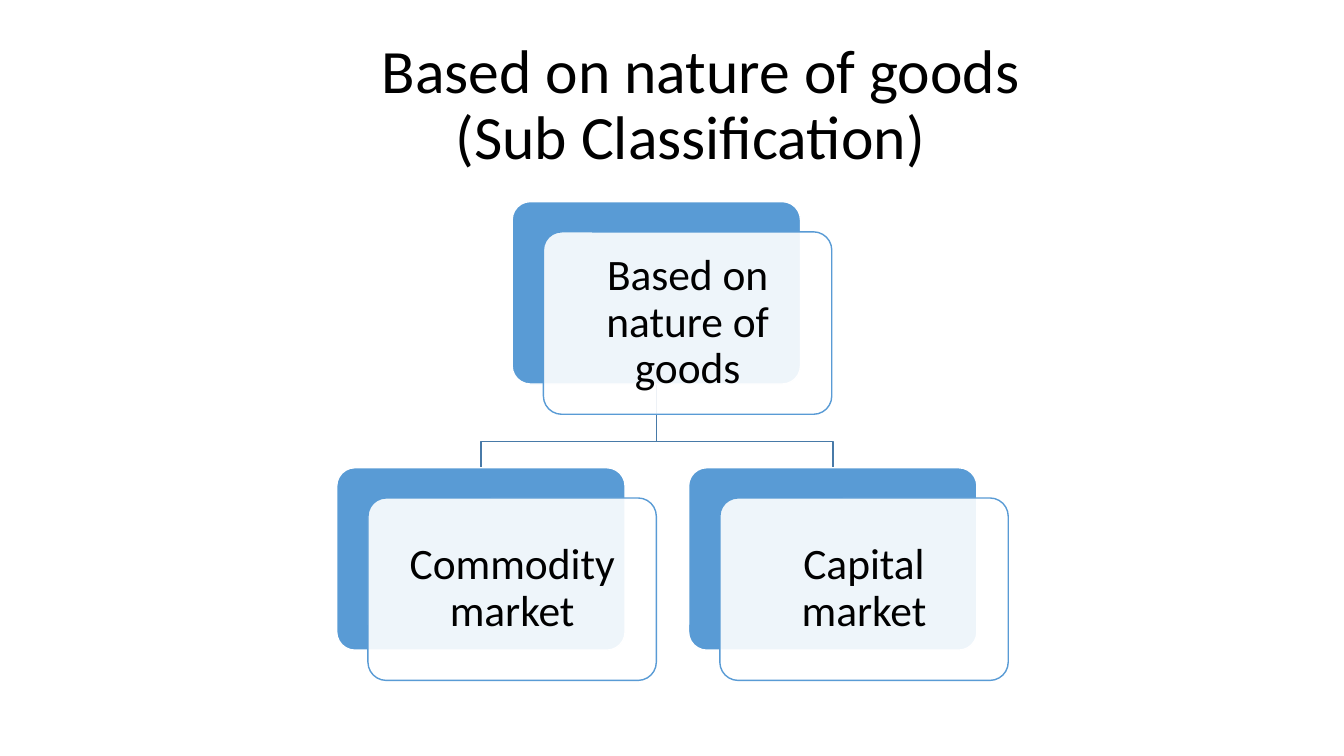
from dataclasses import dataclass

from lxml.etree import SubElement
from pptx import Presentation
from pptx.dml.color import RGBColor
from pptx.enum.shapes import MSO_SHAPE
from pptx.enum.text import MSO_ANCHOR, PP_ALIGN
from pptx.oxml.ns import qn
from pptx.shapes.autoshape import Shape
from pptx.slide import Slide
from pptx.text.text import TextFrame, _Paragraph
from pptx.util import Inches, Pt

FONT = "Calibri"
BLACK, WHITE, BLUE, LINE_BLUE = "000000", "FFFFFF", "599BD5", "487AA8"
CARD_WIDTH, CARD_HEIGHT = 2.86, 1.81
CARD_OFFSET_X, CARD_OFFSET_Y = 0.31, 0.3
ELBOW_Y = 4.38


@dataclass(frozen=True)
class Card:
    text: str
    left: float
    top: float

    @property
    def center(self) -> float:
        return self.left + CARD_WIDTH / 2


@dataclass(frozen=True)
class TitleLine:
    text: str
    indent: float


ROOT = Card("Based on nature of goods", 5.08, 2)
BRANCHES = [
    Card("Commodity market", 3.34, 4.64),
    Card("Capital market", 6.83, 4.64),
]
TITLE_LINES = [
    TitleLine("Based on nature of goods", 0.41),
    TitleLine("(Sub Classification)", 1.14),
]


def color(value: str) -> RGBColor:
    return RGBColor.from_string(value)


def set_line(shape: Shape, value: str) -> None:
    shape.line.color.rgb = color(value)
    shape.line.width = Pt(1)
    shape.shadow.inherit = False


def add_text(paragraph: _Paragraph, text: str, size: float) -> None:
    paragraph.line_spacing = 0.9
    run = paragraph.add_run()
    run.text = text
    run.font.name = FONT
    run.font.size = Pt(size)
    run.font.color.rgb = color(BLACK)


def set_frame(frame: TextFrame, horizontal: float, vertical: float) -> None:
    frame.word_wrap = True
    frame.vertical_anchor = MSO_ANCHOR.MIDDLE
    frame.margin_left = frame.margin_right = Inches(horizontal)
    frame.margin_top = frame.margin_bottom = Inches(vertical)


def draw_title(slide: Slide, lines: list[TitleLine]) -> None:
    box = slide.shapes.add_textbox(
        Inches(3.28), Inches(0.33), Inches(11.5), Inches(1.45)
    )
    frame = box.text_frame
    set_frame(frame, 0.1, 0.05)
    for index, line in enumerate(lines):
        paragraph = frame.add_paragraph() if index else frame.paragraphs[0]
        paragraph.alignment = PP_ALIGN.LEFT
        paragraph._p.get_or_add_pPr().set("marL", str(Inches(line.indent)))
        add_text(paragraph, line.text, 44)


def draw_branch(slide: Slide, parent: Card, child: Card) -> None:
    builder = slide.shapes.build_freeform(
        Inches(parent.center), Inches(parent.top + CARD_HEIGHT)
    )
    corners = [
        (parent.center, ELBOW_Y),
        (child.center, ELBOW_Y),
        (child.center, child.top),
    ]
    builder.add_line_segments(
        [(Inches(x), Inches(y)) for x, y in corners], close=False
    )
    branch = builder.convert_to_shape()
    branch.fill.background()
    set_line(branch, LINE_BLUE)


def draw_panel(
    slide: Slide, left: float, top: float, fill: str, line: str
) -> Shape:
    panel = slide.shapes.add_shape(
        MSO_SHAPE.ROUNDED_RECTANGLE,
        Inches(left), Inches(top), Inches(CARD_WIDTH), Inches(CARD_HEIGHT),
    )
    panel.adjustments[0] = 0.1
    panel.fill.solid()
    panel.fill.fore_color.rgb = color(fill)
    set_line(panel, line)
    return panel


def draw_card(slide: Slide, card: Card) -> None:
    draw_panel(slide, card.left, card.top, BLUE, WHITE)
    front = draw_panel(
        slide, card.left + CARD_OFFSET_X, card.top + CARD_OFFSET_Y, WHITE, BLUE
    )
    fill_color = front._element.spPr.find(qn("a:solidFill")).find(qn("a:srgbClr"))
    SubElement(fill_color, qn("a:alpha")).set("val", "90000")
    set_frame(front.text_frame, 0.13, 0.13)
    paragraph = front.text_frame.paragraphs[0]
    paragraph.alignment = PP_ALIGN.CENTER
    add_text(paragraph, card.text, 31)


def main() -> None:
    presentation = Presentation()
    presentation.slide_width = Inches(13.33)
    presentation.slide_height = Inches(7.5)
    slide = presentation.slides.add_slide(presentation.slide_layouts[6])
    draw_title(slide, TITLE_LINES)
    for branch in reversed(BRANCHES):
        draw_branch(slide, ROOT, branch)
    for card in [ROOT, *BRANCHES]:
        draw_card(slide, card)
    presentation.save("out.pptx")


if __name__ == "__main__":
    main()
